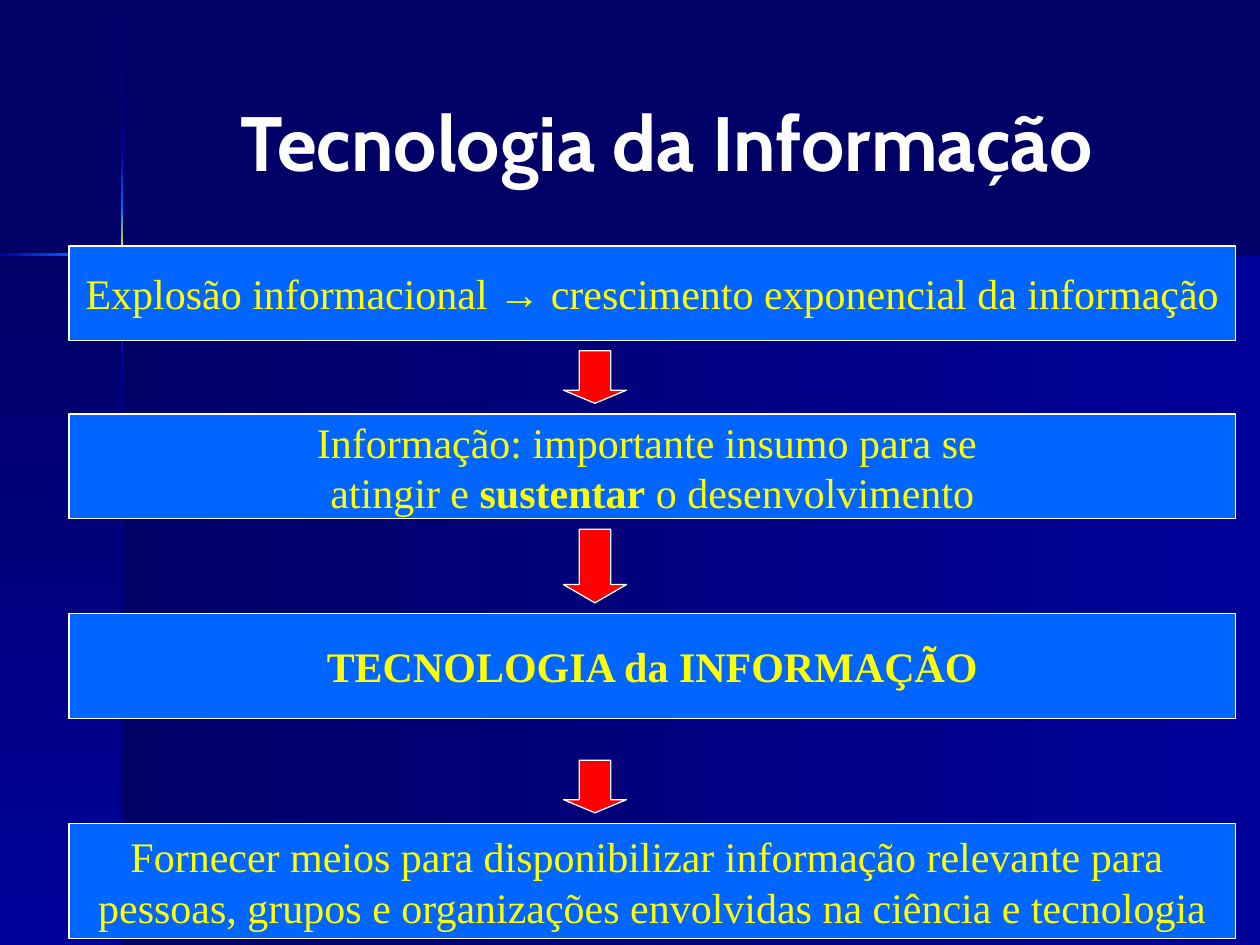
from dataclasses import dataclass

from pptx import Presentation
from pptx.dml.color import RGBColor
from pptx.enum.shapes import MSO_SHAPE
from pptx.enum.text import MSO_ANCHOR, PP_ALIGN
from pptx.util import Pt

RECTANGLE, DOWN_ARROW = MSO_SHAPE.RECTANGLE, MSO_SHAPE.DOWN_ARROW
MIDDLE, CENTER = MSO_ANCHOR.MIDDLE, PP_ALIGN.CENTER


@dataclass(frozen=True)
class Theme:
    navy: RGBColor = RGBColor.from_string("000066")
    blue: RGBColor = RGBColor.from_string("000099")
    bright: RGBColor = RGBColor.from_string("0066FF")
    yellow: RGBColor = RGBColor.from_string("FFFF00")
    red: RGBColor = RGBColor.from_string("FF0000")
    white: RGBColor = RGBColor.from_string("FFFFFF")
    title_font: str = "Cabin"
    body_font: str = "Times New Roman"
    symbol_font: str = "Arial"
    title_size: int = 44
    body_size: int = 24
    outline: float = 0.75


theme = Theme()


def write(paragraph, text, *, font=theme.body_font, size=theme.body_size,
          color=theme.yellow, bold=False):
    paragraph.alignment = CENTER
    run = paragraph.add_run()
    run.text = text
    run.font.name = font
    run.font.size = Pt(size)
    run.font.bold = bold
    run.font.color.rgb = color


def add_block(kind, left, top, width, height, fill=None):
    block = slide.shapes.add_shape(kind, Pt(left), Pt(top), Pt(width), Pt(height))
    block.shadow.inherit = False
    if fill is None:
        block.line.fill.background()
    else:
        block.fill.solid()
        block.fill.fore_color.rgb = fill
        block.line.color.rgb = theme.white
        block.line.width = Pt(theme.outline)
    return block


deck = Presentation()
deck.slide_width, deck.slide_height = Pt(720), Pt(540)
slide = deck.slides.add_slide(deck.slide_layouts[5])
slide.background.fill.solid()
slide.background.fill.fore_color.rgb = theme.navy

RIGHTWARD, DOWNWARD = 0, 270
gradients = [
    (69.84, 145.44, 650.16, 394.56, theme.navy, theme.blue, RIGHTWARD),
    (0, 145.44, 69.84, 394.56, theme.navy, theme.blue, DOWNWARD),
    (127.44, 144.72, 592.56, 1.44, theme.blue, theme.navy, RIGHTWARD),
    (0, 144.72, 43.92, 1.44, theme.blue, theme.bright, RIGHTWARD),
]
rule_stops = [
    (0.72, theme.navy), (87.12, theme.blue), (118.8, theme.bright),
    (145.08, theme.yellow), (171.36, theme.bright), (203.04, theme.blue),
    (540, theme.navy),
]
for (top, start), (bottom, end) in zip(rule_stops, rule_stops[1:]):
    gradients.append((69.12, top, 1.44, bottom - top, start, end, DOWNWARD))

for left, top, width, height, start, end, direction in gradients:
    band = add_block(RECTANGLE, left, top, width, height)
    band.fill.gradient()
    band.fill.gradient_angle = direction
    for stop, color in zip(band.fill.gradient_stops, (start, end)):
        stop.color.rgb = color

title = slide.shapes.title
title.left, title.top, title.width, title.height = Pt(84), Pt(24), Pt(594), Pt(113)
title.text_frame.vertical_anchor = MIDDLE
write(title.text_frame.paragraphs[0], "Tecnologia da Informação",
      font=theme.title_font, size=theme.title_size, color=theme.white, bold=True)

plain, strong, symbol = {}, {"bold": True}, {"font": theme.symbol_font}
steps = [
    (140.5, 54, [[("Explosão informacional ", plain), ("→", symbol),
                  (" crescimento exponencial da informação", plain)]]),
    (236.5, 60, [[("Informação: importante insumo para se ", plain)],
                 [("atingir e ", plain), ("sustentar", strong),
                  (" o desenvolvimento", plain)]]),
    (350.5, 60, [[("TECNOLOGIA da INFORMAÇÃO", strong)]]),
    (470.5, 66, [[("Fornecer meios para disponibilizar informação relevante para ", plain)],
                 [("pessoas, grupos e organizações envolvidas na ciência e tecnologia", plain)]]),
]
for top, height, lines in steps:
    frame = add_block(RECTANGLE, 39.5, top, 666.5, height, theme.bright).text_frame
    frame.word_wrap = False
    frame.vertical_anchor = MIDDLE
    for number, line in enumerate(lines):
        paragraph = frame.add_paragraph() if number else frame.paragraphs[0]
        for text, style in line:
            write(paragraph, text, **style)

for top, height, head in [(200.5, 30, 0.25), (302.5, 42, 0.29), (434.5, 30, 0.25)]:
    arrow = add_block(DOWN_ARROW, 322, top, 36, height, theme.red)
    arrow.adjustments[0] = 0.5
    arrow.adjustments[1] = head

deck.save("out.pptx")
